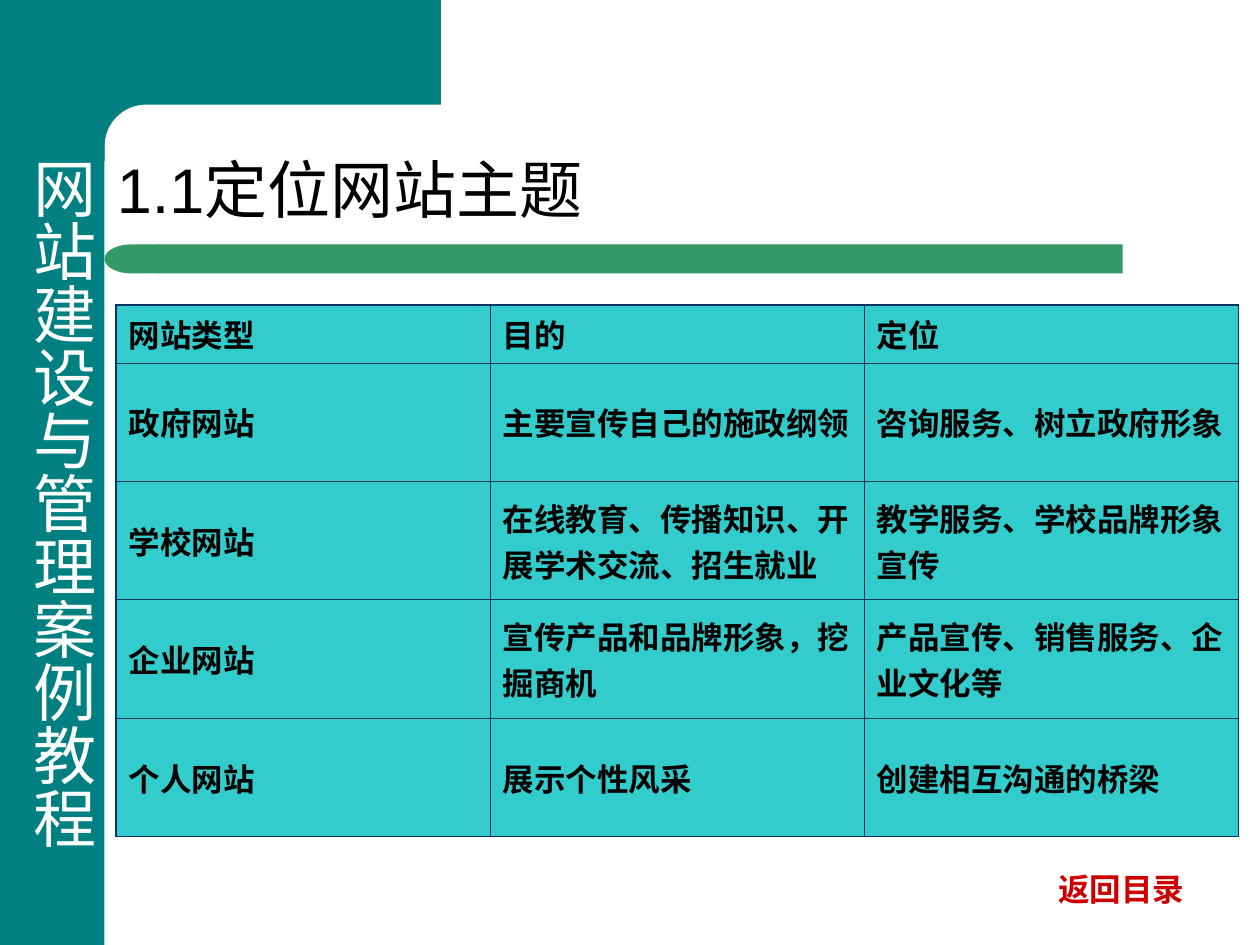
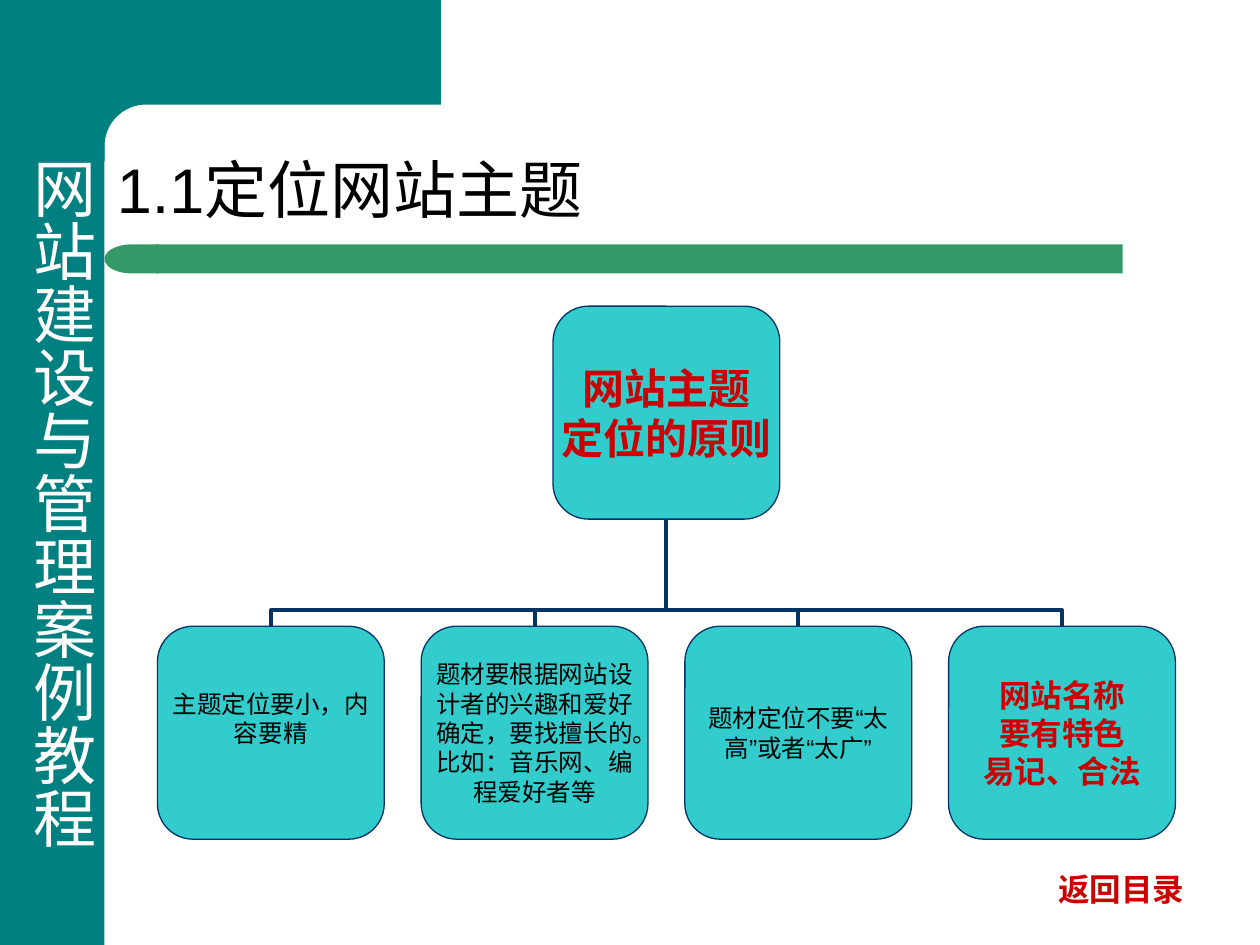
import math

from lxml import etree
from pptx import Presentation
from pptx import util as u
from pptx.dml.color import RGBColor
from pptx.enum import shapes, text
from pptx.oxml.ns import qn

COLORS = {"teal": "008080", "green": "339966", "aqua": "33CCCC", "navy": "003366",
          "red": "CC0000", "white": "FFFFFF", "black": "000000"}
FONT = "Arial"
WIDTH, HEIGHT = 10, 7.5

COURSE = "网站建设与管理案例教程"
BACK = "返回目录"
TITLE = "1.1定位网站主题"

SITE_TYPES = [
    ("网站类型", "目的", "定位"),
    ("政府网站", "主要宣传自己的施政纲领", "咨询服务、树立政府形象"),
    ("学校网站", "在线教育、传播知识、开展学术交流、招生就业", "教学服务、学校品牌形象宣传"),
    ("企业网站", "宣传产品和品牌形象，挖掘商机", "产品宣传、销售服务、企业文化等"),
    ("个人网站", "展示个性风采", "创建相互沟通的桥梁"),
]

PLAIN = {"size": 14, "color": "black"}
PRINCIPLE = {"words": "网站主题\n定位的原则", "size": 24, "color": "red", "bold": True, "wrap": False}
RULES = [
    {"words": "主题定位要小，内容要精", "bottom": 0.23, **PLAIN},
    {"words": "题材要根据网站设计者的兴趣和爱好确定，要找擅长的。比如：音乐网、编程爱好者等", **PLAIN},
    {"words": "题材定位不要“太高”或者“太广”", **PLAIN},
    {"words": "网站名称\n要有特色\n易记、合法", "size": 18, "color": "red", "bold": True, "wrap": False},
]

SIDEBAR = 0.83
CORNER = {"right": 3.5, "left": 0.5, "bottom": 1.28, "radius": 0.33}
BAND = {"top": 1.94, "height": 0.23, "cap": 0.43, "right": 8.91}
TABLE = {"left": 0.92, "top": 2.42, "column": 2.97, "header": 0.46, "row": 0.94}
NODE = {"width": 1.8, "height": 1.69, "left": 1.25, "pitch": 2.093, "hub_top": 2.43, "rule_top": 4.97}


def rgb(name):
    return RGBColor.from_string(COLORS[name])


def inches(*lengths):
    return [u.Inches(length) for length in lengths]


def paint(shape, fill, line=None):
    shape.shadow.inherit = False
    shape.fill.solid()
    shape.fill.fore_color.rgb = rgb(fill)
    if line:
        shape.line.color.rgb = rgb(line)
        shape.line.width = u.Pt(0.75)
    else:
        shape.line.fill.background()


def write(frame, words, size, color, bold=False, align=None, asian_font=True):
    frame.text = words
    for paragraph in frame.paragraphs:
        paragraph.alignment = align
        for run in paragraph.runs:
            run.font.name = FONT
            run.font.size = u.Pt(size)
            run.font.bold = bold
            run.font.color.rgb = rgb(color)
            if asian_font:
                etree.SubElement(run.font._element, qn("a:ea"), typeface=FONT)


def set_margins(frame, left, top, right, bottom):
    frame.margin_left, frame.margin_top, frame.margin_right, frame.margin_bottom = inches(
        left, top, right, bottom)


def add_block(slide, kind, box, fill, line=None):
    block = slide.shapes.add_shape(kind, *inches(*box))
    paint(block, fill, line)
    return block


def add_label(slide, box, words, size, color, bold=False, wrap=False):
    frame = slide.shapes.add_textbox(*inches(*box)).text_frame
    frame.word_wrap = wrap
    write(frame, words, size, color, bold)
    return frame


def add_corner(slide):
    radius = CORNER["radius"]
    center_x, center_y = SIDEBAR + radius, SIDEBAR + radius
    angles = [math.pi / 2 * step / 16 for step in range(17)]
    arc = [(center_x - radius * math.sin(a), center_y - radius * math.cos(a)) for a in angles]
    outline = [(CORNER["right"], 0), (CORNER["right"], SIDEBAR), *arc,
               (SIDEBAR, CORNER["bottom"]), (CORNER["left"], CORNER["bottom"]), (CORNER["left"], 0)]
    points = [tuple(inches(*point)) for point in outline]
    builder = slide.shapes.build_freeform(*points[0])
    builder.add_line_segments(points[1:], close=True)
    paint(builder.convert_to_shape(), "teal")


def add_base(deck):
    slide = deck.slides.add_slide(deck.slide_layouts[6])
    kinds = shapes.MSO_SHAPE
    add_block(slide, kinds.RECTANGLE, (0, 0, SIDEBAR, HEIGHT), "teal")
    add_corner(slide)

    bar_left = SIDEBAR + BAND["cap"] - 0.02
    add_block(slide, kinds.RECTANGLE,
              (bar_left, BAND["top"], BAND["right"] - bar_left, BAND["height"]), "green")
    cap = add_block(slide, kinds.FLOWCHART_DELAY,
                    (SIDEBAR, BAND["top"], BAND["cap"], BAND["height"]), "green")
    cap._element.spPr.xfrm.set("flipH", "1")

    course = add_label(slide, (0.05, 1.15, 0.8, 5.6), COURSE, 36, "white")
    set_margins(course, 0.05, 0.1, 0.05, 0.1)
    course._txBody.bodyPr.set("vert", "eaVert")
    add_label(slide, (8.3, 6.86, 1.2, 0.4), BACK, 18, "red", bold=True)

    title = add_label(slide, (SIDEBAR, 0.76, 8.67, 1.09), TITLE, 36, "black", wrap=True)
    title.vertical_anchor = text.MSO_ANCHOR.BOTTOM
    title.paragraphs[0].line_spacing = 0.9
    return slide


def set_borders(cell, outer_sides):
    properties = cell._tc.get_or_add_tcPr()
    for position, side in enumerate("LRTB"):
        width = u.Pt(1.08 if side in outer_sides else 0.45)
        border = etree.Element(qn(f"a:ln{side}"), w=str(int(width)))
        fill = etree.SubElement(border, qn("a:solidFill"))
        etree.SubElement(fill, qn("a:srgbClr"), val=COLORS["navy"])
        properties.insert(position, border)


def add_site_types(slide):
    rows, columns = len(SITE_TYPES), len(SITE_TYPES[0])
    heights = [TABLE["header"]] + [TABLE["row"]] * (rows - 1)
    box = TABLE["left"], TABLE["top"], TABLE["column"] * columns, sum(heights)
    grid = slide.shapes.add_table(rows, columns, *inches(*box)).table
    for row, height in zip(grid.rows, heights):
        row.height = u.Inches(height)
    for column in grid.columns:
        column.width = u.Inches(TABLE["column"])
    for r, entries in enumerate(SITE_TYPES):
        for c, words in enumerate(entries):
            cell = grid.cell(r, c)
            cell.fill.solid()
            cell.fill.fore_color.rgb = rgb("aqua")
            cell.vertical_anchor = text.MSO_ANCHOR.MIDDLE
            write(cell.text_frame, words, 18, "black", bold=True, asian_font=False)
            cell.text_frame.paragraphs[0].space_before = u.Pt(4.5)
            edges = {"L": c == 0, "R": c == columns - 1, "T": r == 0, "B": r == rows - 1}
            set_borders(cell, [side for side, outer in edges.items() if outer])


def add_node(slide, left, top, node):
    block = add_block(slide, shapes.MSO_SHAPE.ROUNDED_RECTANGLE,
                      (left, top, NODE["width"], NODE["height"]), "aqua", "navy")
    frame = block.text_frame
    set_margins(frame, 0, 0, 0, node.get("bottom", 0))
    frame.word_wrap = node.get("wrap", True)
    frame.vertical_anchor = text.MSO_ANCHOR.MIDDLE
    write(frame, node["words"], node["size"], node["color"], node.get("bold", False),
          text.PP_ALIGN.CENTER)


def add_branch(slide, rule_x, hub_x):
    hub_bottom = NODE["hub_top"] + NODE["height"]
    rise, reach = NODE["rule_top"] - hub_bottom, abs(rule_x - hub_x)
    left = (rule_x + hub_x - rise) / 2
    top = (NODE["rule_top"] + hub_bottom - reach) / 2
    on_right = rule_x > hub_x
    begin_x, end_x = (left, left + rise) if on_right else (left + rise, left)
    branch = slide.shapes.add_connector(
        shapes.MSO_CONNECTOR.ELBOW, *inches(begin_x, top + reach, end_x, top))
    branch.line.color.rgb = rgb("navy")
    branch.line.width = u.Pt(2.25)
    properties = branch._element.spPr
    properties.xfrm.set("rot", str((270 if on_right else 90) * 60000))
    guides = properties.find(qn("a:prstGeom")).find(qn("a:avLst"))
    etree.SubElement(guides, qn("a:gd"), name="adj1", fmla="val 14800")
    etree.SubElement(properties, qn("a:effectLst"))


def add_principles(slide):
    lefts = [NODE["left"] + NODE["pitch"] * i for i in range(len(RULES))]
    hub_left = (lefts[0] + lefts[-1]) / 2
    half = NODE["width"] / 2
    for left in reversed(lefts):
        add_branch(slide, left + half, hub_left + half)
    add_node(slide, hub_left, NODE["hub_top"], PRINCIPLE)
    for left, rule in zip(lefts, RULES):
        add_node(slide, left, NODE["rule_top"], rule)


def main():
    deck = Presentation()
    deck.slide_width, deck.slide_height = inches(WIDTH, HEIGHT)
    for add_content in (add_site_types, add_principles):
        add_content(add_base(deck))
    deck.save("out.pptx")


if __name__ == "__main__":
    main()
